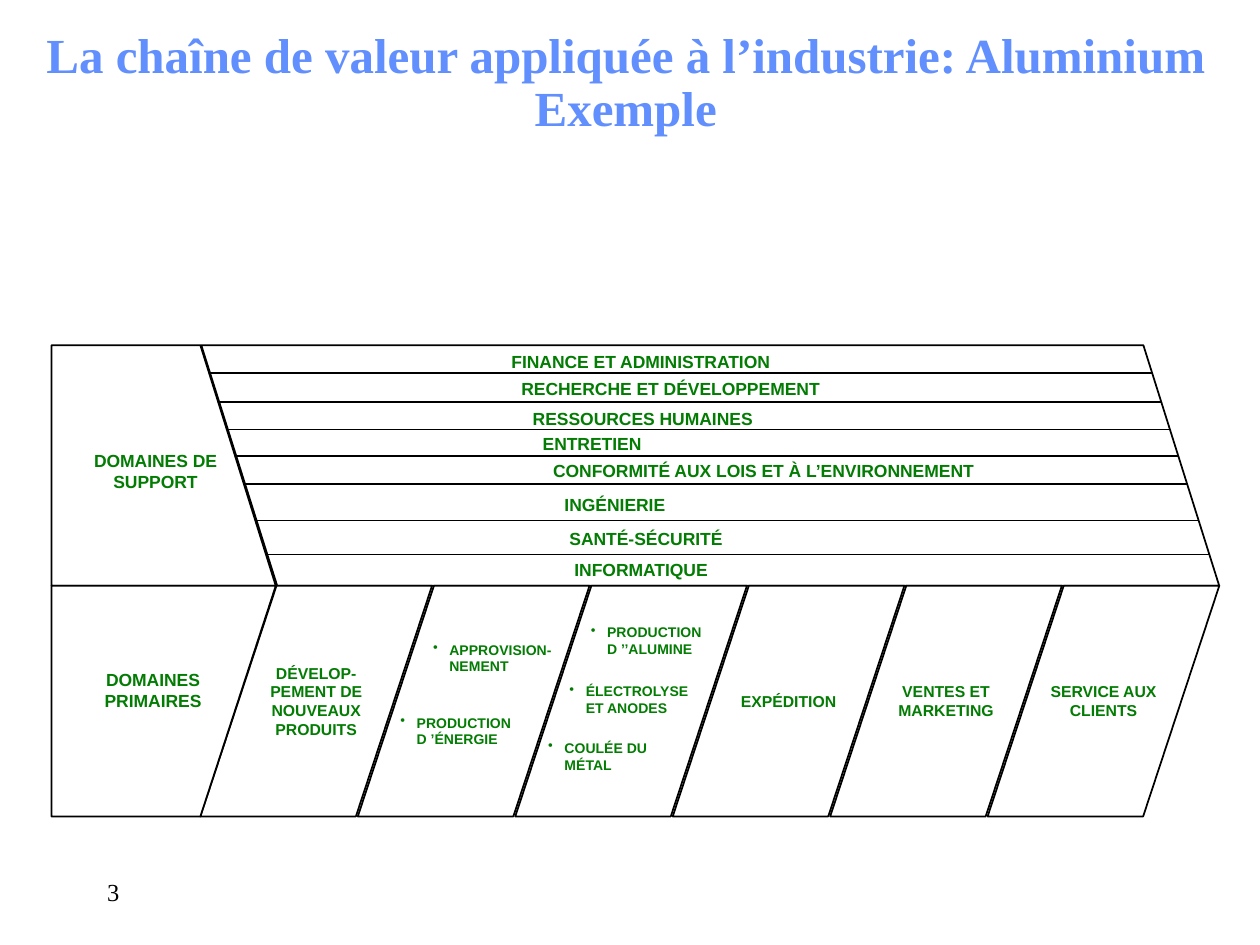
from lxml.etree import SubElement
from pptx import Presentation
from pptx.dml.color import RGBColor
from pptx.enum.shapes import MSO_CONNECTOR as Connector, MSO_SHAPE as Shape
from pptx.enum.text import MSO_ANCHOR as Anchor, MSO_AUTO_SIZE as AutoSize, PP_ALIGN as Align
from pptx.oxml.ns import qn
from pptx.util import Cm, Pt

GREEN, BLACK, WHITE, BLUE = "037C03", "000000", "FFFFFF", "618FFD"
color = RGBColor.from_string


def outline(shape):
    shape.shadow.inherit = False
    shape.fill.solid()
    shape.fill.fore_color.rgb = color(WHITE)
    shape.line.color.rgb = color(BLACK)
    shape.line.width = Pt(1)


def write(shape, text, size, ink=GREEN, font="Arial", bold=True, align=Align.LEFT):
    frame = shape.text_frame
    frame.word_wrap = True
    paragraph = frame.paragraphs[0]
    paragraph.alignment = align
    for number, line in enumerate(text.split("\n")):
        if number:
            paragraph.add_line_break()
        run = paragraph.add_run()
        run.text = line
        run.font.size = Pt(size)
        run.font.name = font
        run.font.bold = bold
        run.font.color.rgb = color(ink)
    return paragraph


presentation = Presentation()
presentation.slide_width, presentation.slide_height = Cm(25.4), Cm(19.05)
slide = presentation.slides.add_slide(presentation.slide_layouts[5])
shapes = slide.shapes

# Title
title = shapes.title
title.left, title.top, title.width, title.height = Cm(0.41), Cm(0), Cm(24.41), Cm(3.38)
title.text_frame.auto_size = AutoSize.NONE
title.text_frame.vertical_anchor = Anchor.MIDDLE
heading = write(title, "La chaîne de valeur appliquée à l’industrie: Aluminium\nExemple",
                28, BLUE, "Times New Roman", align=Align.CENTER)
heading.line_spacing = 0.9

# Support block: slanted band split by horizontal rules
band_left, band_top, band_width, band_height, slant = 4.06, 6.96, 20.52, 4.85, 1.53
band_bottom = band_top + band_height
band = shapes.add_shape(Shape.PARALLELOGRAM, Cm(band_left), Cm(band_top),
                        Cm(band_width), Cm(band_height))
band.adjustments[0] = slant / band_height
band._element.spPr.xfrm.set("flipH", "1")
outline(band)

for y in (7.52, 8.1, 8.66, 9.19, 9.75, 10.49, 11.18):
    x = band_left + slant * (y - band_top) / band_height
    rule = shapes.add_connector(Connector.STRAIGHT, Cm(x), Cm(y),
                                Cm(x + band_width - slant), Cm(y))
    rule.line.color.rgb = color(BLACK)
    rule.line.width = Pt(1)
    SubElement(rule._element.spPr, qn("a:effectLst"))

support_labels = [
    ("FINANCE ET ADMINISTRATION", 10.06, 6.96, 7.19),
    ("RECHERCHE ET DÉVELOPPEMENT", 10.26, 7.49, 8.84),
    ("RESSOURCES HUMAINES", 10.49, 8.1, 7.19),
    ("ENTRETIEN", 10.69, 8.61, 10.11),
    ("CONFORMITÉ AUX LOIS ET À L’ENVIRONNEMENT", 10.9, 9.14, 9.53),
    ("INGÉNIERIE", 11.13, 9.83, 7.19),
    ("SANTÉ-SÉCURITÉ", 11.23, 10.52, 7.19),
    ("INFORMATIQUE", 11.33, 11.15, 7.19),
]
for text, left, top, width in support_labels:
    write(shapes.add_textbox(Cm(left), Cm(top), Cm(width), Cm(0.66)), text, 10)

# Primary activities: evenly spaced parallelograms
activities = ["DÉVELOP-PEMENT DE NOUVEAUX PRODUITS", "", "", "EXPÉDITION",
              "VENTES ET MARKETING", "SERVICE AUX CLIENTS"]
first_left, last_left = 4.04, 19.91
step = (last_left - first_left) / (len(activities) - 1)
for number, text in enumerate(activities):
    activity = shapes.add_shape(Shape.PARALLELOGRAM, Cm(first_left + number * step),
                                Cm(band_bottom), Cm(4.67), Cm(4.65))
    activity.adjustments[0] = 0.33
    outline(activity)
    if text:
        frame = activity.text_frame
        frame.margin_left = frame.margin_right = 0
        frame.vertical_anchor = Anchor.MIDDLE
        write(activity, text, 9, align=Align.CENTER)

# Bulleted details inside the two unlabelled activities
details = [
    ("APPROVISION-NEMENT", 8.48, 12.8, 3.38),
    ("PRODUCTION D\u00a0’ÉNERGIE", 7.82, 14.27, 3.38),
    ("PRODUCTION D\u00a0’’ALUMINE", 11.66, 12.45, 3.38),
    ("ÉLECTROLYSE ET ANODES", 11.23, 13.64, 3.18),
    ("COULÉE DU MÉTAL", 10.8, 14.78, 3.38),
]
for text, left, top, width in details:
    box = shapes.add_textbox(Cm(left), Cm(top), Cm(width), Cm(0.91))
    properties = write(box, text, 8)._p.get_or_add_pPr()
    properties.set("marL", str(Cm(0.33)))
    properties.set("indent", str(Cm(-0.33)))
    ink = SubElement(SubElement(properties, qn("a:buClr")), qn("a:srgbClr"))
    ink.set("val", GREEN)
    SubElement(properties, qn("a:buChar")).set("char", "•")

# Domain headings at the left, with margins that keep each on two lines
domains = [
    ([(1.04, band_top), (4.04, band_top), (5.56, band_bottom), (1.04, band_bottom)],
     "DOMAINES DE SUPPORT", 0.91, 8.94),
    ([(1.04, band_bottom), (5.56, band_bottom), (4.04, 16.46), (1.04, 16.46)],
     "DOMAINES PRIMAIRES", 0.86, 13.36),
]
for corners, text, left, top in domains:
    points = [(Cm(x), Cm(y)) for x, y in corners]
    builder = shapes.build_freeform(*points[0])
    builder.add_line_segments(points[1:], close=True)
    outline(builder.convert_to_shape())
    label = shapes.add_textbox(Cm(left), Cm(top), Cm(4.45), Cm(1.09))
    label.text_frame.margin_left = label.text_frame.margin_right = Cm(0.6)
    write(label, text, 10, align=Align.CENTER)

# Page number
page = shapes.add_textbox(Cm(1.91), Cm(17.35), Cm(5.28), Cm(1.27))
page.text_frame.vertical_anchor = Anchor.MIDDLE
write(page, "3", 14, BLACK, "Times New Roman", bold=False)

presentation.save("out.pptx")
